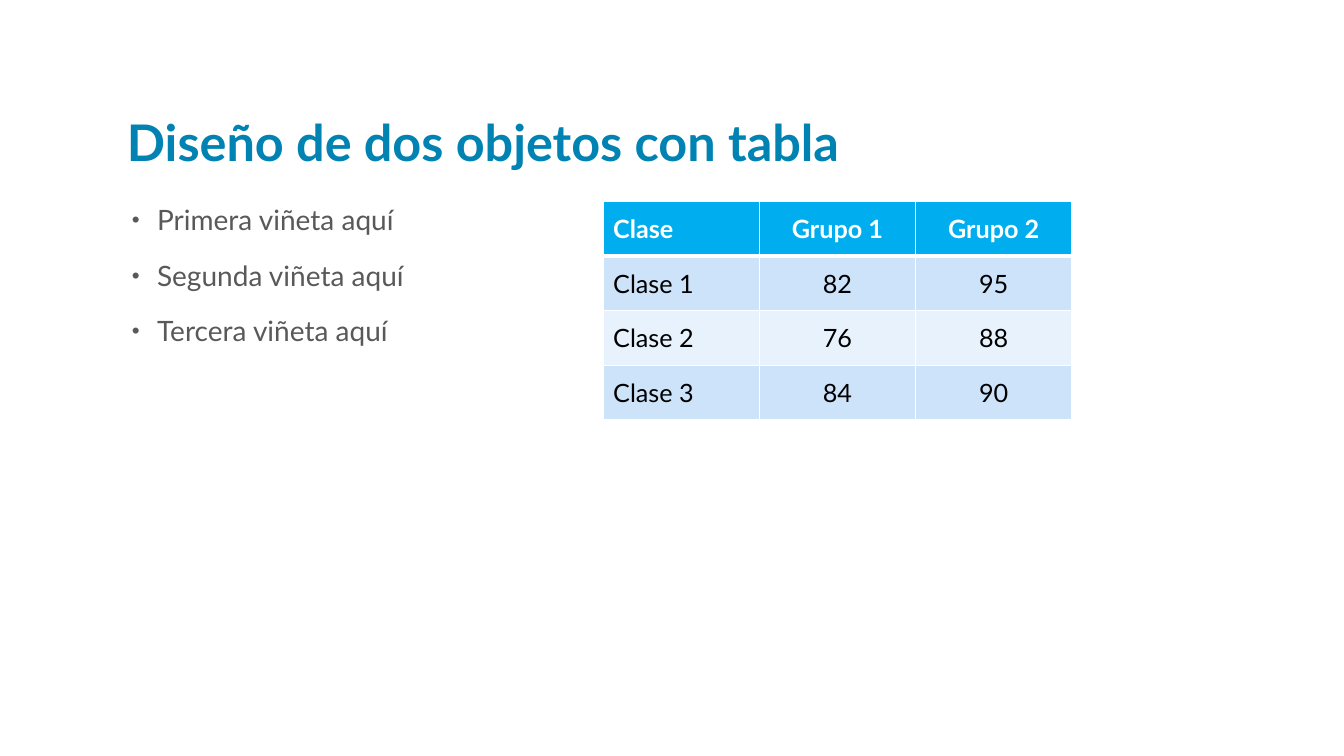
from dataclasses import dataclass
from lxml.etree import SubElement as Sub
from pptx import Presentation as Deck
from pptx.dml.color import RGBColor as Rgb
from pptx.enum.text import MSO_ANCHOR as Anchor, MSO_AUTO_SIZE as Fit, PP_ALIGN as Align
from pptx.oxml.ns import qn
from pptx.util import Inches, Pt

UNIT = Inches(1) / 12
FACE = "Lato"
WHITE, GRAY, BLACK = "FFFFFF", "595959", "000000"
BLUE, CYAN = "0083B3", "00AEEF"
BANDS = ("CCE3F9", "E7F2FC")


@dataclass(frozen=True)
class Box:
    col: float
    row: float
    wide: float
    high: float

    def spot(self) -> tuple:
        return tuple(round(n * UNIT) for n in (self.col, self.row, self.wide, self.high))


@dataclass(frozen=True)
class Style:
    size: float
    color: str
    bold: bool = False


TITLE = Box(13.9, 7, 114, 14)
LIST = Box(13.9, 24, 55.8, 55)
GRID = Box(71.8, 24, 55.8, 26)
POINTS = ("Primera viñeta aquí", "Segunda viñeta aquí", "Tercera viñeta aquí")
ROWS = (
    ("Clase", "Grupo 1", "Grupo 2"),
    ("Clase 1", "82", "95"),
    ("Clase 2", "76", "88"),
    ("Clase 3", "84", "90"),
)


def paint(code: str) -> Rgb:
    return Rgb.from_string(code)


def dress(para, style: Style, align=Align.LEFT) -> None:
    para.alignment = align
    font = para.font
    font.name, font.size, font.bold = FACE, Pt(style.size), style.bold
    font.color.rgb = paint(style.color)


def place(shape, box: Box, anchor) -> None:
    shape.left, shape.top, shape.width, shape.height = box.spot()
    frame = shape.text_frame
    frame.word_wrap, frame.auto_size = True, Fit.NONE
    frame.vertical_anchor = anchor


def bullet(para) -> None:
    para.line_spacing, para.space_before = 0.9, Pt(18)
    props = para._p.get_or_add_pPr()
    props.set("marL", str(Inches(0.3)))
    props.set("indent", str(Inches(-0.25)))
    Sub(Sub(props, qn("a:buClr")), qn("a:srgbClr"), val=GRAY)
    Sub(props, qn("a:buSzPct"), val="80000")
    Sub(props, qn("a:buFont"), typeface="Arial")
    Sub(props, qn("a:buChar"), char="•")


def border(cell, row: int) -> None:
    props = cell._tc.get_or_add_tcPr()
    thick = {"T": 3 if row == 1 else 1, "B": 3 if row == 0 else 1}
    for side in "LRTB":
        line = Sub(props, qn(f"a:ln{side}"), w=str(Pt(thick.get(side, 1))))
        Sub(Sub(line, qn("a:solidFill")), qn("a:srgbClr"), val=WHITE)


def chart(slide) -> None:
    table = slide.shapes.add_table(len(ROWS), len(ROWS[0]), *GRID.spot()).table
    for r, row in enumerate(ROWS):
        style = Style(18, BLACK) if r else Style(18, WHITE, True)
        for c, text in enumerate(row):
            cell = table.cell(r, c)
            cell.text = text
            cell.vertical_anchor = Anchor.MIDDLE
            border(cell, r)
            cell.fill.solid()
            cell.fill.fore_color.rgb = paint(BANDS[(r - 1) % 2] if r else CYAN)
            dress(cell.text_frame.paragraphs[0], style, Align.CENTER if c else Align.LEFT)


def main() -> None:
    deck = Deck()
    deck.slide_width, deck.slide_height = round(160 * UNIT), round(90 * UNIT)
    slide = deck.slides.add_slide(deck.slide_layouts[1])
    title, body = slide.placeholders
    title.text_frame.text = "Diseño de dos objetos con tabla"
    place(title, TITLE, Anchor.BOTTOM)
    head = title.text_frame.paragraphs[0]
    head.line_spacing = 0.8
    dress(head, Style(36, BLUE, True))
    body.text_frame.text = "\n".join(POINTS)
    place(body, LIST, Anchor.TOP)
    for para in body.text_frame.paragraphs:
        bullet(para)
        dress(para, Style(20, GRAY))
    chart(slide)
    deck.save("out.pptx")


if __name__ == "__main__":
    main()
